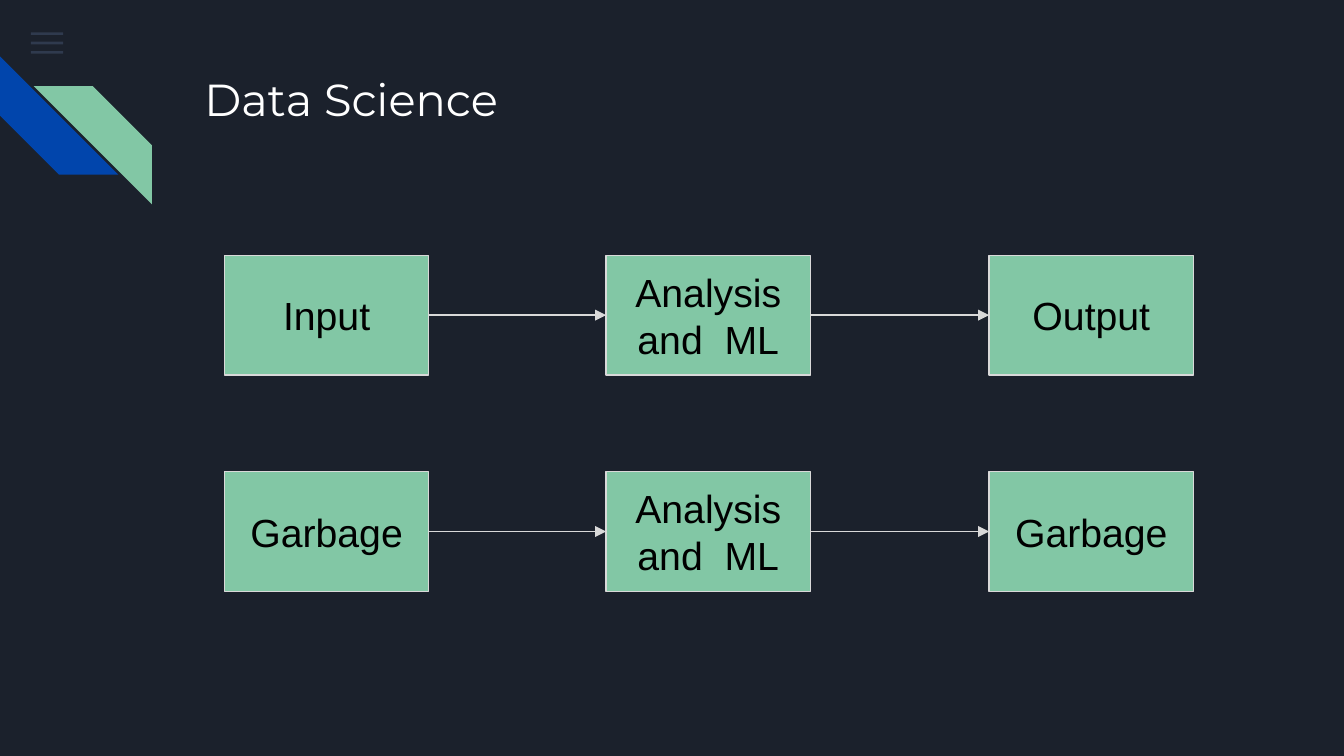
from lxml import etree
from pptx import Presentation
from pptx.dml.color import RGBColor
from pptx.enum.shapes import MSO_CONNECTOR, MSO_SHAPE as SHAPE
from pptx.enum.text import MSO_ANCHOR as ANCHOR, MSO_AUTO_SIZE as AUTO, PP_ALIGN as ALIGN
from pptx.oxml.ns import qn
from pptx.util import Inches, Pt

GREEN, BLUE, PALE = "82C7A5", "0145AC", "D9D9D9"


def paint(color_format, color):
    color_format.rgb = RGBColor.from_string(color)


def add_block(kind, left, top, width, height, color):
    block = slide.shapes.add_shape(
        kind, Inches(left), Inches(top), Inches(width), Inches(height))
    block.shadow.inherit = False
    block.fill.solid()
    paint(block.fill.fore_color, color)
    block.line.fill.background()
    return block


# Widescreen 16:9 slide
prs = Presentation()
prs.slide_width, prs.slide_height = Inches(10), Inches(10 * 9 / 16)
slide = prs.slides.add_slide(prs.slide_layouts[5])
slide.background.fill.solid()
paint(slide.background.fill.fore_color, "1B212C")

# Menu icon: three translucent bars
for row in range(3):
    bar = add_block(SHAPE.RECTANGLE, 0.23, 0.24 + 0.07 * row, 0.24, 0.02, "55688B")
    bar_color = bar.fill._xPr.find(qn("a:solidFill"))[0]
    etree.SubElement(bar_color, qn("a:alpha"), val="36000")

# Corner stripes
for left, top, turn, color in [(0, 0.42, 270, BLUE), (0.25, 0.64, 90, GREEN)]:
    stripe = add_block(SHAPE.DIAGONAL_STRIPE, left, top, 0.88, 0.88, color)
    stripe.rotation = turn

# Title
title = slide.shapes.title
title.left, title.top = Inches(1.42), Inches(0.43)
title.width, title.height = Inches(7.7), Inches(1)
heading = title.text_frame
heading.auto_size = AUTO.NONE
heading.vertical_anchor = ANCHOR.TOP
heading.margin_left = heading.margin_right = Inches(0.1)
heading.margin_top = heading.margin_bottom = Inches(0.1)
heading.paragraphs[0].alignment = ALIGN.LEFT
run = heading.paragraphs[0].add_run()
run.text = "Data Science"
run.font.name, run.font.size = "Montserrat", Pt(24)
paint(run.font.color, "FFFFFF")

# Two flows, each with three steps joined by arrows
flows = [
    (1.9, ["Input", "Analysis and  ML", "Output"]),
    (3.51, ["Garbage", "Analysis and  ML", "Garbage"]),
]
for top, labels in flows:
    steps = []
    for left, label in zip((1.67, 4.51, 7.36), labels):
        step = add_block(SHAPE.RECTANGLE, left, top, 1.52, 0.89, GREEN)
        paint(step.line.color, PALE)
        step.line.width = Pt(0.75)
        frame = step.text_frame
        frame.word_wrap = True
        frame.vertical_anchor = ANCHOR.MIDDLE
        frame.margin_left = frame.margin_right = Inches(0.1)
        frame.margin_top = frame.margin_bottom = Inches(0.1)
        frame.paragraphs[0].alignment = ALIGN.CENTER
        run = frame.paragraphs[0].add_run()
        run.text = label
        run.font.name, run.font.size = "Arial", Pt(21)
        paint(run.font.color, "000000")
        steps.append(step)

    for source, target in zip(steps, steps[1:]):
        arrow = slide.shapes.add_connector(MSO_CONNECTOR.STRAIGHT, 0, 0, 0, 0)
        arrow.begin_connect(source, 3)
        arrow.end_connect(target, 1)
        paint(arrow.line.color, PALE)
        arrow.line.width = Pt(0.75)
        etree.SubElement(arrow.line._get_or_add_ln(), qn("a:tailEnd"), type="triangle")
        etree.SubElement(arrow._element.spPr, qn("a:effectLst"))

prs.save("out.pptx")
